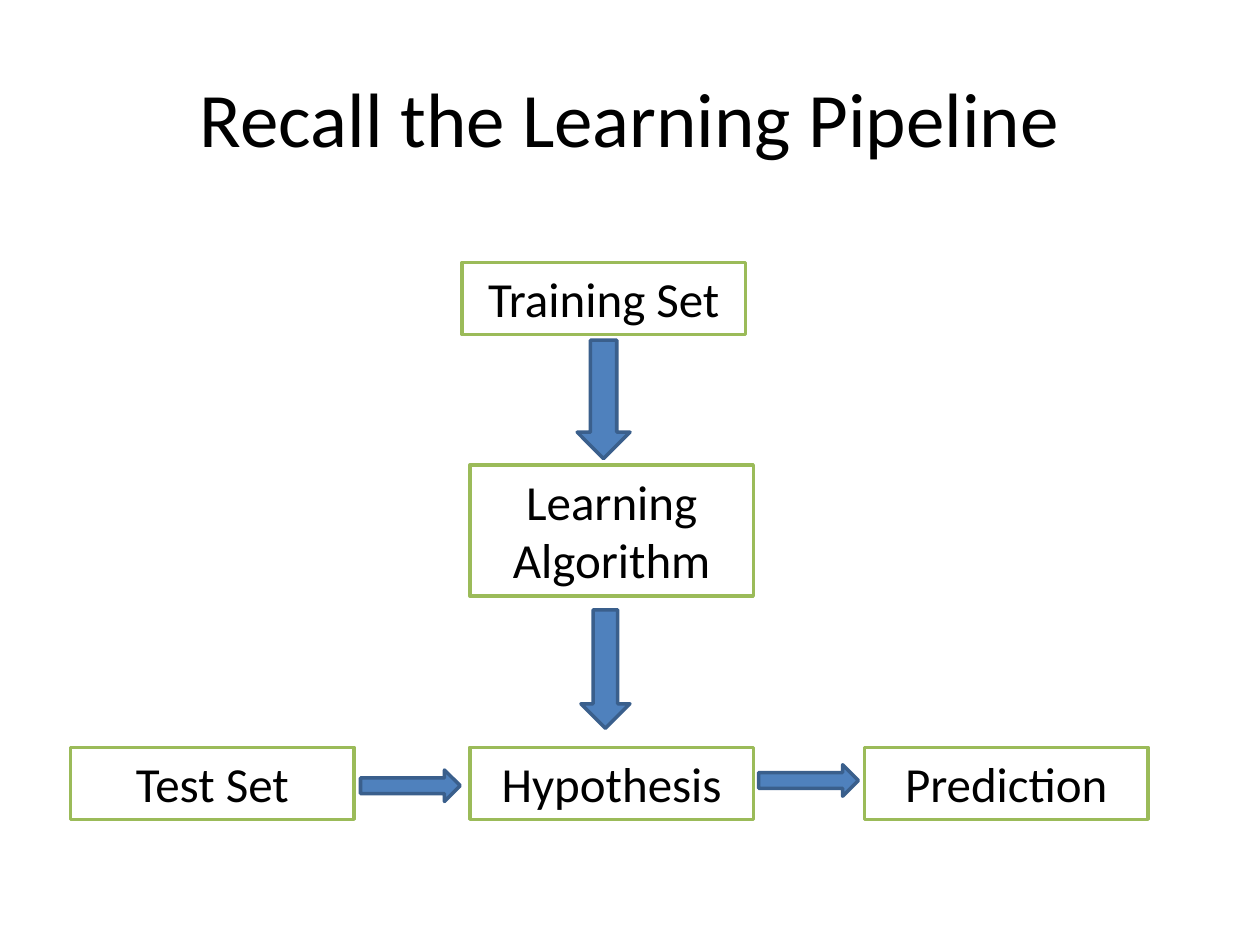
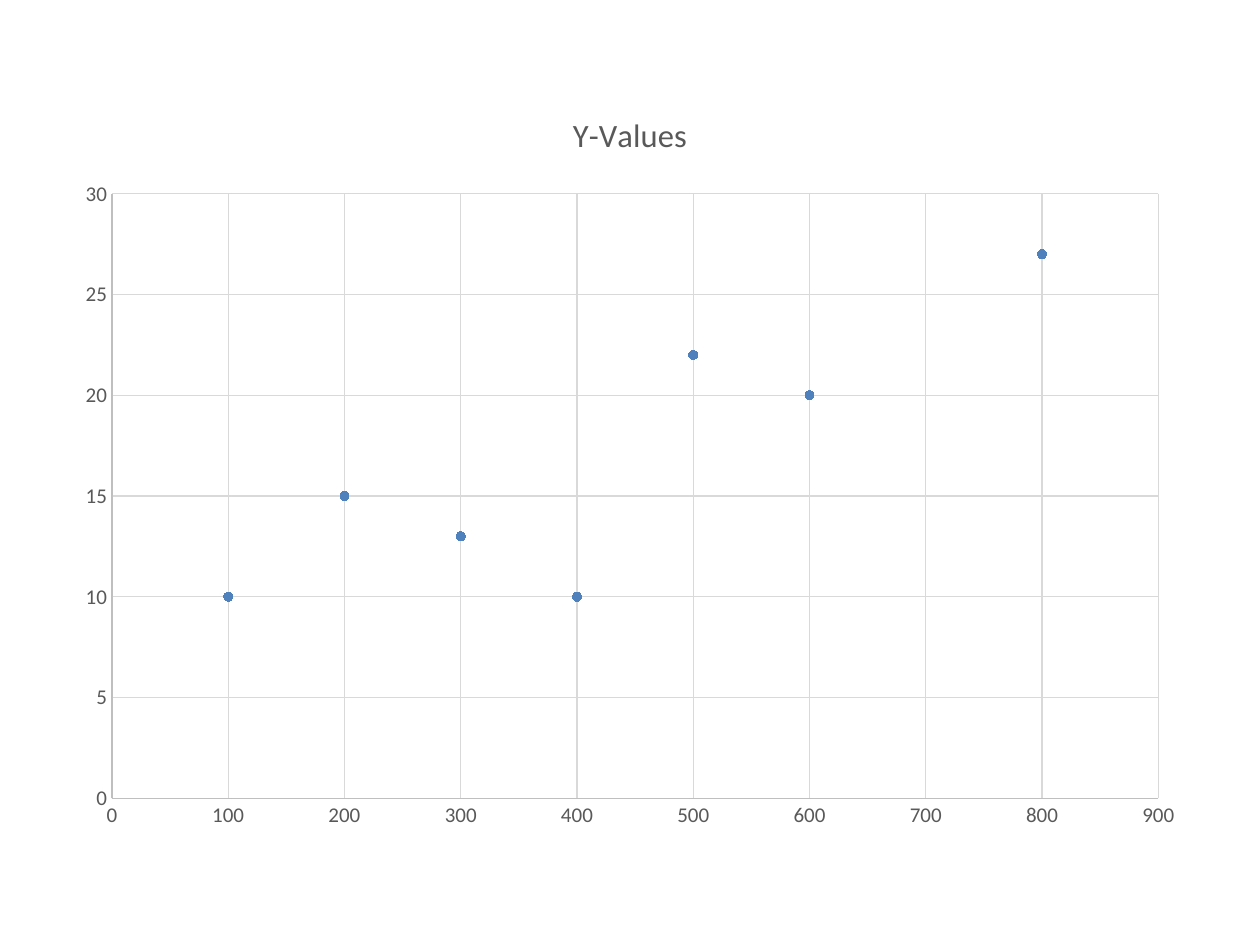
from pptx import Presentation
from pptx.chart.data import XyChartData
from pptx.dml.color import RGBColor
from pptx.enum.chart import XL_CHART_TYPE, XL_MARKER_STYLE, XL_TICK_MARK
from pptx.enum.shapes import MSO_SHAPE
from pptx.enum.text import MSO_ANCHOR, MSO_AUTO_SIZE, PP_ALIGN
from pptx.util import Pt

# Style
FONT = "Calibri"
BLACK = RGBColor(0x00, 0x00, 0x00)
WHITE = RGBColor(0xFF, 0xFF, 0xFF)
GREEN = RGBColor(0x9B, 0xBB, 0x59)
BLUE = RGBColor(0x4F, 0x81, 0xBD)
DARK_BLUE = RGBColor(0x3A, 0x5F, 0x8C)
TEXT_GRAY = RGBColor(0x59, 0x59, 0x59)
AXIS_GRAY = RGBColor(0xBF, 0xBF, 0xBF)
GRID_GRAY = RGBColor(0xD9, 0xD9, 0xD9)

CENTER = PP_ALIGN.CENTER
TOP, MIDDLE = MSO_ANCHOR.TOP, MSO_ANCHOR.MIDDLE
FIT_SHAPE, NO_FIT = MSO_AUTO_SIZE.SHAPE_TO_FIT_TEXT, MSO_AUTO_SIZE.NONE
RECTANGLE = MSO_SHAPE.RECTANGLE
DOWN, RIGHT = MSO_SHAPE.DOWN_ARROW, MSO_SHAPE.RIGHT_ARROW
SCATTER = XL_CHART_TYPE.XY_SCATTER
CIRCLE = XL_MARKER_STYLE.CIRCLE
NO_TICK = XL_TICK_MARK.NONE
TITLE_ONLY, BLANK = 5, 6


def style_font(font, size, color):
    font.name, font.size = FONT, Pt(size)
    font.color.rgb = color


def write(frame, text, size=28, color=BLACK, anchor=TOP, fit=NO_FIT):
    frame.word_wrap = True
    frame.auto_size = fit
    frame.vertical_anchor = anchor
    para = frame.paragraphs[0]
    para.alignment = CENTER
    span = para.add_run()
    span.text = text
    style_font(span.font, size, color)


class SlideBuilder:
    def __init__(self, deck):
        self.deck = deck
        self.slide = None

    def new_slide(self, layout):
        self.slide = self.deck.slides.add_slide(self.deck.slide_layouts[layout])

    def title(self, text):
        title = self.slide.shapes.title
        title.left, title.top = Pt(36), Pt(21.6)
        title.width, title.height = Pt(648), Pt(90)
        write(title.text_frame, text, size=44, anchor=MIDDLE)

    def shape(self, kind, left, top, width, height, fill, line):
        shape = self.slide.shapes.add_shape(
            kind, Pt(left), Pt(top), Pt(width), Pt(height))
        shape.shadow.inherit = False
        shape.fill.solid()
        shape.fill.fore_color.rgb = fill
        shape.line.color.rgb = line
        shape.line.width = Pt(2)
        return shape

    def box(self, text, left, top, height=41.2):
        box = self.shape(RECTANGLE, left, top, 162, height, WHITE, GREEN)
        write(box.text_frame, text, fit=FIT_SHAPE)

    def arrow(self, kind, left, top, width, height):
        self.shape(kind, left, top, width, height, BLUE, DARK_BLUE)

    def axis(self, axis, maximum, step):
        axis.minimum_scale, axis.maximum_scale = 0, maximum
        axis.major_unit = step
        axis.major_tick_mark = axis.minor_tick_mark = NO_TICK
        axis.has_major_gridlines = True
        style_font(axis.tick_labels.font, 12, TEXT_GRAY)
        for line, color in ((axis.format.line, AXIS_GRAY),
                            (axis.major_gridlines.format.line, GRID_GRAY)):
            line.color.rgb = color
            line.width = Pt(0.75)

    def scatter(self, name, points, left, top, width, height):
        data = XyChartData()
        values = data.add_series(name)
        for x, y in points:
            values.add_data_point(x, y)
        chart = self.slide.shapes.add_chart(
            SCATTER, Pt(left), Pt(top), Pt(width), Pt(height), data).chart
        style_font(chart.font, 10, BLACK)
        chart.has_legend = False
        chart.has_title = True
        title = chart.chart_title.text_frame.paragraphs[0]
        span = title.add_run()
        span.text = name
        style_font(span.font, 18.6, TEXT_GRAY)
        span.font.bold = False

        # Markers without a joining line
        plot = chart.plots[0]
        plot.vary_by_categories = False
        series = plot.series[0]
        series.format.line.fill.background()
        marker = series.marker
        marker.style, marker.size = CIRCLE, 5
        marker.format.fill.solid()
        marker.format.fill.fore_color.rgb = BLUE
        marker.format.line.color.rgb = BLUE

        self.axis(chart.category_axis, 900, 100)
        self.axis(chart.value_axis, 30, 5)


def pipeline_slide(builder):
    builder.new_slide(TITLE_ONLY)
    builder.title("Recall the Learning Pipeline")

    # Stages
    middle, bottom = 268.5, 427
    builder.box("Training Set", 264, 150)
    builder.box("Learning Algorithm", middle, 265.7, height=75)
    builder.box("Hypothesis", middle, bottom)
    builder.box("Test Set", 40.3, bottom)
    builder.box("Prediction", 494, bottom)

    # Flow
    builder.arrow(DOWN, 329.8, 194.4, 30.2, 67.7)
    builder.arrow(DOWN, 332, 348.5, 28, 67.7)
    builder.arrow(RIGHT, 206, 440, 57, 18)
    builder.arrow(RIGHT, 433.5, 437, 57, 18)


def scatter_slide(builder):
    builder.new_slide(BLANK)
    points = [(100, 10), (200, 15), (300, 13), (400, 10),
              (500, 22), (600, 20), (800, 27)]
    builder.scatter("Y-Values", points, 36, 48, 648, 434)


def main():
    deck = Presentation()
    deck.slide_width, deck.slide_height = Pt(720), Pt(540)
    builder = SlideBuilder(deck)
    pipeline_slide(builder)
    scatter_slide(builder)
    deck.save("out.pptx")


if __name__ == "__main__":
    main()
